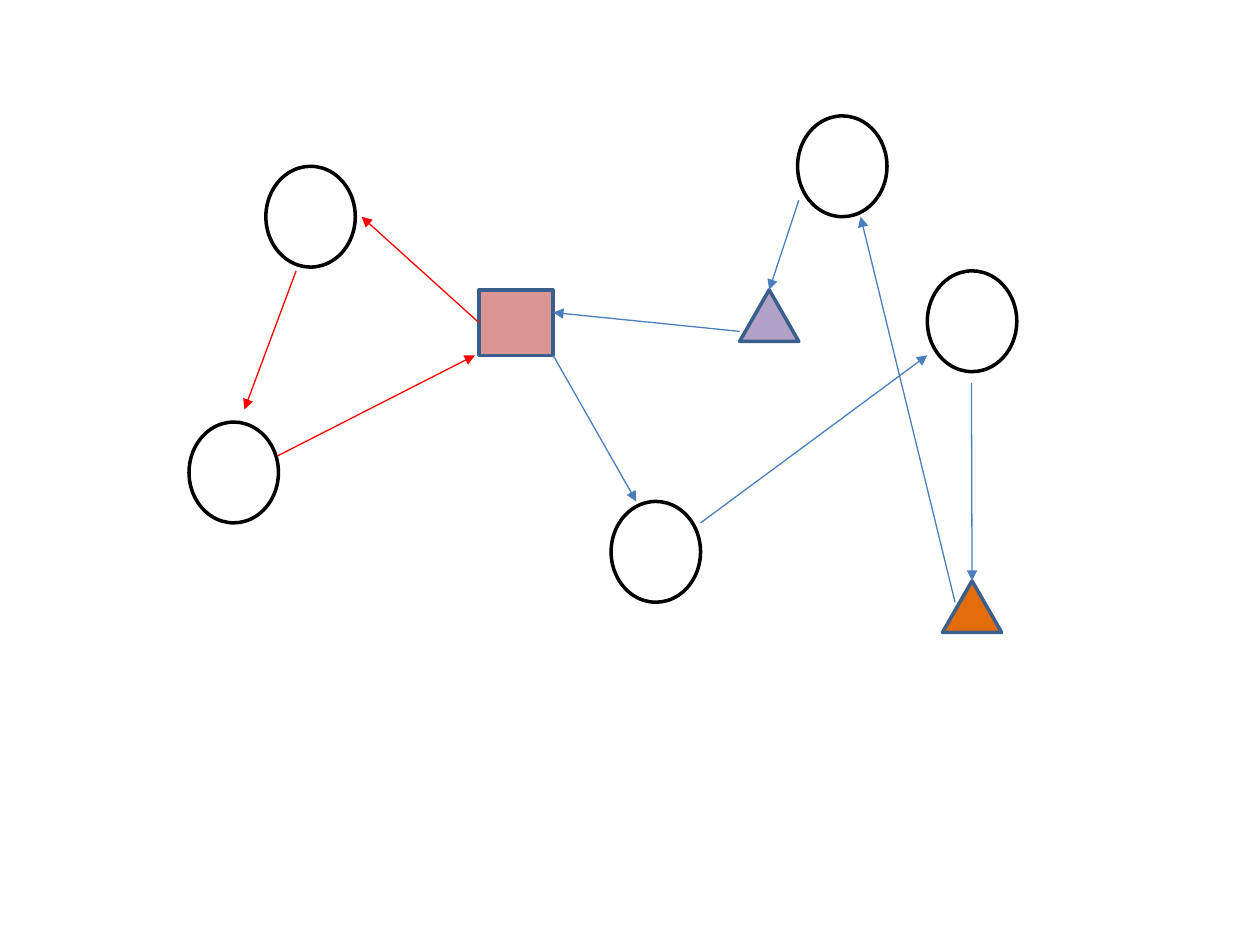
from lxml import etree
from pptx import Presentation
from pptx import util as u
from pptx.dml.color import RGBColor
from pptx.enum import shapes
from pptx.oxml import ns

WHITE = RGBColor(0xFF, 0xFF, 0xFF)
BLACK = RGBColor(0, 0, 0)
PINK = RGBColor(0xD9, 0x96, 0x94)
PURPLE = RGBColor(0xB3, 0xA2, 0xC7)
ORANGE = RGBColor(0xE4, 0x6C, 0x0A)
NAVY = RGBColor(0x3A, 0x5F, 0x8C)
BLUE = RGBColor(0x4B, 0x7E, 0xBC)
RED = RGBColor(0xFF, 0, 0)

KIND = shapes.MSO_SHAPE
TOP, LEFT = 0, 1
CIRCLE_SIZE = (0.71, 0.8)
SQUARE_SIZE = (0.59, 0.52)
TRIANGLE_SIZE = (0.47, 0.41)

CIRCLES = [(6.33, 0.92), (2.11, 1.32), (4.85, 3.98), (1.5, 3.35), (7.36, 2.15)]
BLUE_ARROWS = [
    ((4.39, 2.82), (5.05, 3.98)),
    ((5.56, 4.15), (7.36, 2.82)),
    ((7.58, 4.78), (6.83, 1.72)),
    ((5.87, 2.63), (4.39, 2.48)),
]
RED_ARROWS = [
    ((2.35, 2.15), (1.94, 3.25)),
    ((2.2, 3.62), (3.77, 2.82)),
]


def apply_format(target, values):
    for name, value in values.items():
        setattr(target, name, value)


def add_node(page, kind, place, size, fill, outline):
    node = page.shapes.add_shape(kind, *map(u.Inches, place + size))
    node.shadow.inherit = False
    node.fill.solid()
    node.fill.fore_color.rgb = fill
    node.line.color.rgb = outline
    apply_format(node.line, {"width": u.Pt(2)})
    return node


def add_arrow(page, start, end, color):
    arrow = page.shapes.add_connector(
        shapes.MSO_CONNECTOR.STRAIGHT, *map(u.Inches, start + end)
    )
    arrow.line.color.rgb = color
    apply_format(arrow.line, {"width": u.Pt(0.75)})
    properties = arrow.element.spPr
    outline = properties.find(ns.qn("a:ln"))
    etree.SubElement(outline, ns.qn("a:tailEnd"), type="triangle")
    etree.SubElement(properties, ns.qn("a:effectLst"))
    return arrow


def main():
    deck = Presentation()
    apply_format(deck, {"slide_width": u.Inches(10), "slide_height": u.Inches(7.5)})
    page = deck.slides.add_slide(deck.slide_layouts[6])

    for place in CIRCLES:
        add_node(page, KIND.OVAL, place, CIRCLE_SIZE, WHITE, BLACK)
    square = add_node(page, KIND.RECTANGLE, (3.8, 2.3), SQUARE_SIZE, PINK, NAVY)
    purple_triangle, orange_triangle = [
        add_node(page, KIND.ISOSCELES_TRIANGLE, place, TRIANGLE_SIZE, fill, NAVY)
        for place, fill in [((5.87, 2.3), PURPLE), ((7.48, 4.61), ORANGE)]
    ]

    for color, arrows in [(BLUE, BLUE_ARROWS), (RED, RED_ARROWS)]:
        for start, end in arrows:
            add_arrow(page, start, end, color)
    add_arrow(page, (7.71, 3.04), (7.71, 4.61), BLUE).end_connect(orange_triangle, TOP)
    add_arrow(page, (6.34, 1.59), (6.1, 2.3), BLUE).end_connect(purple_triangle, TOP)
    add_arrow(page, (3.8, 2.56), (2.87, 1.72), RED).begin_connect(square, LEFT)

    deck.save("out.pptx")


if __name__ == "__main__":
    main()
